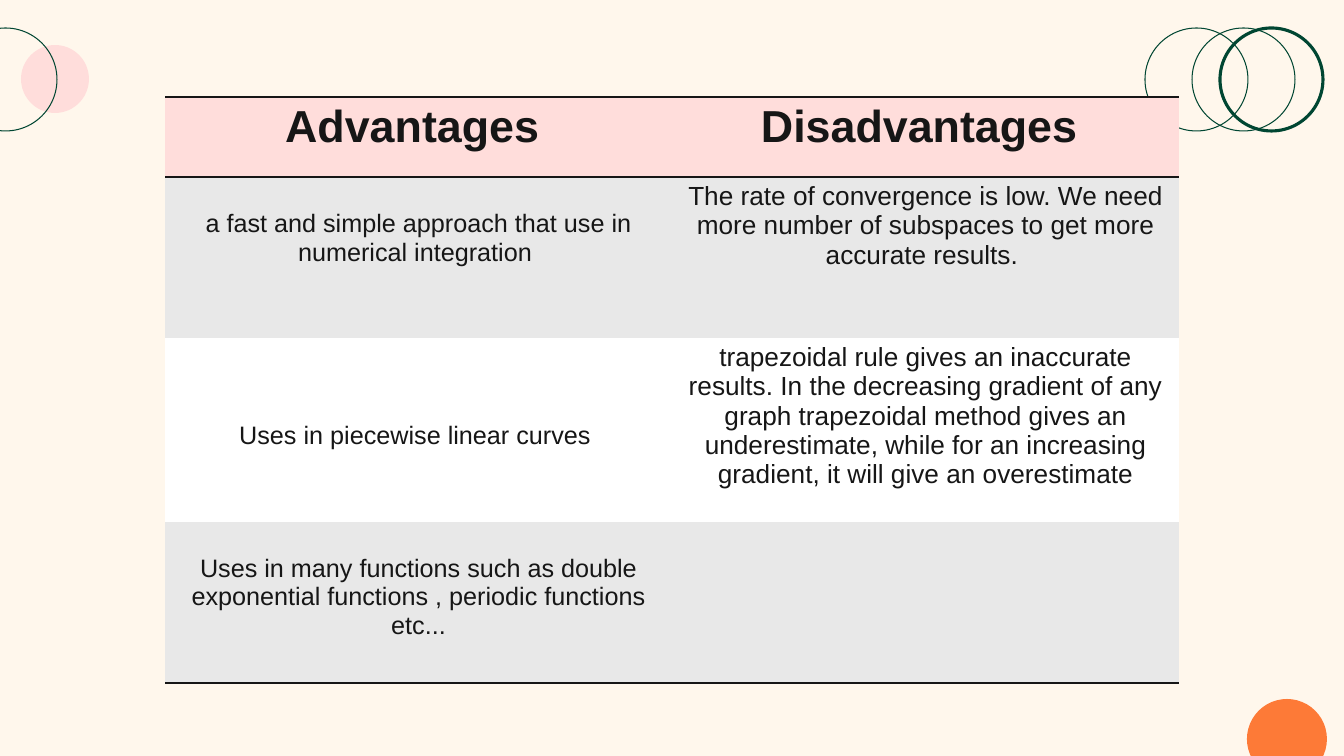
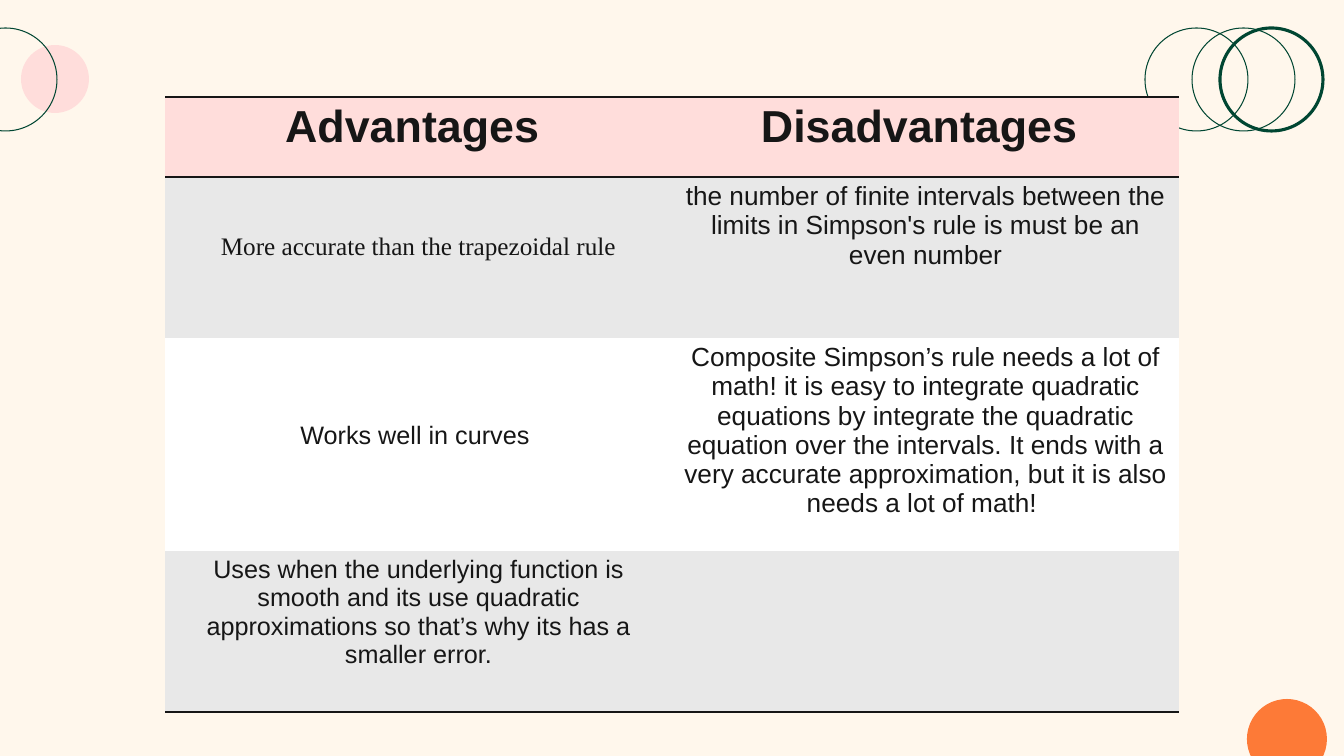
import lxml.etree
import pptx
import pptx.dml.color
import pptx.enum.shapes
import pptx.enum.text
import pptx.oxml.ns
import pptx.util

RGBColor = pptx.dml.color.RGBColor
CREAM = RGBColor(0xFF, 0xF7, 0xEC)
PINK = RGBColor(0xFF, 0xDD, 0xDB)
GREEN = RGBColor(0x00, 0x46, 0x32)
ORANGE = RGBColor(0xFD, 0x7A, 0x37)
INK = RGBColor(0x16, 0x16, 0x16)
GREY = RGBColor(0xE8, 0xE8, 0xE8)
WHITE = RGBColor(0xFF, 0xFF, 0xFF)

PX = 914400 / 100.8  # EMU in one px
PLAIN_TABLE_STYLE = "{2D5ABB26-0587-4C30-8999-92F81FD0307C}"

TABLE_LEFT, TABLE_TOP, COLUMN_WIDTH = 165, 97, 507
HEADER_HEIGHT, ROW_HEIGHT = 80, 161
CELL_INSET, LINE_HEIGHT = 5, 28

HEADER_FONT = {"name": "Arial", "size": pptx.util.Pt(32), "bold": True}
LEFT_FONT = {"name": "Arial", "size": pptx.util.Pt(18), "bold": False}
RIGHT_FONT = {"name": "Arial", "size": pptx.util.Pt(18.7), "bold": False}
SERIF_FONT = {**LEFT_FONT, "name": "Times New Roman"}
ROW_FILLS = [PINK, GREY, WHITE, GREY]

# left, top, diameter, fill, outline width in points
CIRCLES = [
    (21, 45, 68, PINK, None),
    (1145, 28, 103, None, 0.75),
    (-46, 28, 103, None, 0.75),
    (1220, 28, 103, None, 2.25),
    (1192, 28, 103, None, 0.75),
    (1247, 699, 80, ORANGE, None),
]

HEADER = [
    ("Advantages ", HEADER_FONT, CELL_INSET),
    ("Disadvantages ", HEADER_FONT, CELL_INSET),
]
EMPTY = ("", RIGHT_FONT, CELL_INSET)

# height of the middle row, then rows of (text, font, top inset)
COMPARISONS = [
    (184, [
        HEADER,
        [("a fast and simple approach that use in numerical integration ",
          LEFT_FONT, CELL_INSET + LINE_HEIGHT),
         ("The rate of convergence is low. We need more number of "
          "subspaces to get more accurate results. ", RIGHT_FONT, CELL_INSET)],
        [("Uses in piecewise linear curves ", LEFT_FONT, 3 * LINE_HEIGHT),
         ("trapezoidal rule gives an inaccurate results. In the decreasing "
          "gradient of any graph trapezoidal method gives an underestimate, "
          "while for an increasing gradient, it will give an overestimate",
          RIGHT_FONT, CELL_INSET)],
        [("Uses in many functions such as double exponential functions , "
          "periodic functions etc...", LEFT_FONT, CELL_INSET + LINE_HEIGHT),
         EMPTY],
    ]),
    (213, [
        HEADER,
        [("More accurate than the trapezoidal rule", SERIF_FONT, 2 * LINE_HEIGHT),
         ("the number of finite intervals between the limits in Simpson's "
          "rule is must be an even number", RIGHT_FONT, CELL_INSET)],
        [("Works well in curves ", LEFT_FONT, 3 * LINE_HEIGHT),
         ("Composite Simpson’s rule needs a lot of math! it is easy to "
          "integrate quadratic equations by integrate the quadratic equation "
          "over the intervals. It ends with a very accurate approximation, "
          "but it is also needs a lot of math! ", RIGHT_FONT, CELL_INSET)],
        [("Uses when the underlying function is smooth and its use quadratic "
          "approximations so that’s why its has a smaller error.",
          LEFT_FONT, CELL_INSET),
         EMPTY],
    ]),
]


def px(*lengths):
    return [pptx.util.Emu(round(length * PX)) for length in lengths]


def add_rule(cell, edge):
    """Draw a 2 pt ink line along an edge of a cell: lnT or lnB."""
    rule = lxml.etree.Element(pptx.oxml.ns.qn("a:" + edge), w=str(pptx.util.Pt(2)))
    fill = lxml.etree.SubElement(rule, pptx.oxml.ns.qn("a:solidFill"))
    lxml.etree.SubElement(fill, pptx.oxml.ns.qn("a:srgbClr"), val=str(INK))
    cell._tc.get_or_add_tcPr().insert(0, rule)


deck = pptx.Presentation()
deck.slide_width, deck.slide_height = px(1344, 756)
blank = deck.slide_layouts[6]
backdrop = deck.slide_master.background.fill
backdrop.solid()
backdrop.fore_color.rgb = CREAM
slides = [deck.slides.add_slide(blank) for _ in COMPARISONS]

# The circles are made on the first slide and moved to the shared layout.
for left, top, diameter, fill, outline in CIRCLES:
    circle = slides[0].shapes.add_shape(
        pptx.enum.shapes.MSO_SHAPE.OVAL, *px(left, top, diameter, diameter))
    circle.shadow.inherit = False
    if fill:
        circle.fill.solid()
        circle.fill.fore_color.rgb = fill
        circle.line.fill.background()
    else:
        circle.fill.background()
        circle.line.color.rgb = GREEN
        circle.line.width = pptx.util.Pt(outline)
    blank.shapes.element.append(circle.element)

for slide, (middle_height, rows) in zip(slides, COMPARISONS):
    heights = [HEADER_HEIGHT, ROW_HEIGHT, middle_height, ROW_HEIGHT]
    frame = slide.shapes.add_table(
        len(rows), 2, *px(TABLE_LEFT, TABLE_TOP, 2 * COLUMN_WIDTH, sum(heights)))
    comparison = frame.table
    comparison.first_row = comparison.horz_banding = False
    for style_id in frame.element.iter(pptx.oxml.ns.qn("a:tableStyleId")):
        style_id.text = PLAIN_TABLE_STYLE
    for column in comparison.columns:
        column.width = px(COLUMN_WIDTH)[0]

    for row_index, (cells, height) in enumerate(zip(rows, heights)):
        comparison.rows[row_index].height = px(height)[0]
        for column_index, (text, font_format, top_inset) in enumerate(cells):
            cell = comparison.cell(row_index, column_index)
            cell.fill.solid()
            cell.fill.fore_color.rgb = ROW_FILLS[row_index]
            cell.vertical_anchor = pptx.enum.text.MSO_ANCHOR.TOP
            cell.margin_top, cell.margin_bottom = px(top_inset, CELL_INSET)
            cell.text = text
            paragraph = cell.text_frame.paragraphs[0]
            paragraph.alignment = pptx.enum.text.PP_ALIGN.CENTER
            for run in paragraph.runs:
                run.font.color.rgb = INK
                for attribute, value in font_format.items():
                    setattr(run.font, attribute, value)
            if row_index in (0, len(rows) - 1):
                add_rule(cell, "lnB")
            if row_index == 0:
                add_rule(cell, "lnT")

deck.save("out.pptx")
